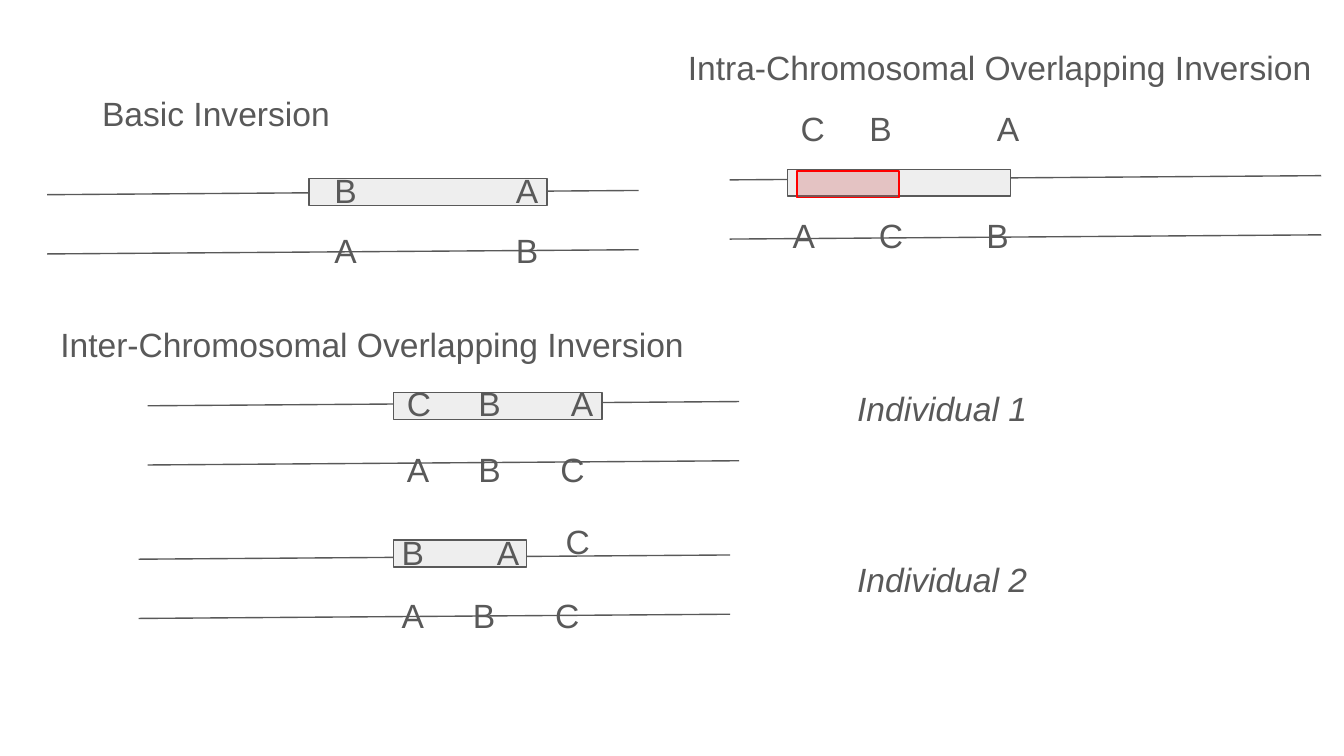
"""Build a slide comparing basic and overlapping chromosomal inversions."""
from lxml import etree
from pptx import Presentation
from pptx.dml.color import RGBColor
from pptx.enum.shapes import MSO_CONNECTOR, MSO_SHAPE
from pptx.enum.text import MSO_AUTO_SIZE
from pptx.oxml.ns import qn
from pptx.util import Cm, Pt

STRAIGHT = MSO_CONNECTOR.STRAIGHT
RECTANGLE = MSO_SHAPE.RECTANGLE
FIXED = MSO_AUTO_SIZE.NONE
GROW = MSO_AUTO_SIZE.SHAPE_TO_FIT_TEXT

WHITE = RGBColor(0xFF, 0xFF, 0xFF)
GREY = RGBColor(0x59, 0x59, 0x59)
LIGHT_GREY = RGBColor(0xEE, 0xEE, 0xEE)
DARK_RED = RGBColor(0xCC, 0x50, 0x50)
RED = RGBColor(0xFF, 0x00, 0x00)

CHROMOSOME_PAIRS = [(0.89, 3.68), (13.79, 3.4), (2.79, 7.67), (2.62, 10.57)]
INVERSIONS = [
    (5.84, 3.38, 4.5),
    (14.88, 3.2, 4.22),
    (7.44, 7.42, 3.94),
    (7.44, 10.21, 2.51),
]
OVERLAP = (15.06, 3.23, 1.93)
GENE_ROWS = [
    (2.97, {"B": 6.07, "A": 9.5}),
    (4.09, {"A": 6.07, "B": 9.5}),
    (1.8, {"C": 14.88, "B": 16.18, "A": 18.59}),
    (3.81, {"A": 14.73, "C": 16.36, "B": 18.39}),
    (6.99, {"C": 7.44, "B": 8.79, "A": 10.54}),
    (8.23, {"A": 7.44, "B": 8.79, "C": 10.34}),
    (9.8, {"B": 7.34, "A": 9.14}),
    (9.6, {"C": 10.44}),
    (11, {"A": 7.34, "B": 8.69, "C": 10.24}),
]
TITLES = [
    ("Basic Inversion", 1.68, 1.5, 8.46),
    ("Intra-Chromosomal Overlapping Inversion", 12.75, 0.64, 12.5),
    ("Inter-Chromosomal Overlapping Inversion", 0.89, 5.87, 13.08),
]
INDIVIDUALS = [("Individual 1", 7.09), ("Individual 2", 10.31)]


class InversionSlide:
    line_width = Pt(0.75)
    font_format = {"name": "Arial", "size": Pt(18)}
    frame_format = {
        "word_wrap": True,
        "margin_left": Cm(0.25),
        "margin_right": Cm(0.25),
        "margin_top": Cm(0.25),
        "margin_bottom": Cm(0.25),
    }

    def __init__(self, slide):
        self.slide = slide
        slide.background.fill.solid()
        slide.background.fill.fore_color.rgb = WHITE

    def add_outline(self, shape, color):
        shape.line.color.rgb = color
        shape.line.width = self.line_width

    def add_chromosome_pair(self, left, top, length=11.18, rise=0.08, gap=1.12):
        for start in (top, top + gap):
            connector = self.slide.shapes.add_connector(
                STRAIGHT, Cm(left), Cm(start), Cm(left + length), Cm(start - rise)
            )
            self.add_outline(connector, GREY)
            etree.SubElement(connector._element.spPr, qn("a:effectLst"))

    def add_segment(self, left, top, width, fill=LIGHT_GREY, outline=GREY, opacity=100):
        shape = self.slide.shapes.add_shape(
            RECTANGLE, Cm(left), Cm(top), Cm(width), Cm(0.51)
        )
        shape.shadow.inherit = False
        shape.fill.solid()
        shape.fill.fore_color.rgb = fill
        self.add_outline(shape, outline)
        if opacity < 100:
            color = shape._element.spPr.find(qn("a:solidFill"))[0]
            etree.SubElement(color, qn("a:alpha"), val=str(opacity * 1000))

    def add_text(self, text, left, top, width, height=1.27, auto_size=GROW, italic=False):
        box = self.slide.shapes.add_textbox(Cm(left), Cm(top), Cm(width), Cm(height))
        frame = box.text_frame
        for name, value in {**self.frame_format, "auto_size": auto_size}.items():
            setattr(frame, name, value)
        run = frame.paragraphs[0].add_run()
        run.text = text
        for name, value in {**self.font_format, "italic": italic}.items():
            setattr(run.font, name, value)
        run.font.color.rgb = GREY

    def add_genes(self, top, genes):
        for gene, left in genes.items():
            self.add_text(gene, left, top, 0.84, 1.32, FIXED)


def main():
    presentation = Presentation()
    presentation.slide_width = Cm(25.4)
    presentation.slide_height = Cm(14.29)
    diagram = InversionSlide(presentation.slides.add_slide(presentation.slide_layouts[6]))

    for left, top in CHROMOSOME_PAIRS:
        diagram.add_chromosome_pair(left, top)
    for left, top, width in INVERSIONS:
        diagram.add_segment(left, top, width)
    diagram.add_segment(*OVERLAP, fill=DARK_RED, outline=RED, opacity=27)
    for top, genes in GENE_ROWS:
        diagram.add_genes(top, genes)
    for title, left, top, width in TITLES:
        diagram.add_text(title, left, top, width)
    for name, top in INDIVIDUALS:
        diagram.add_text(name, 15.95, top, 8.89, italic=True)

    presentation.save("out.pptx")


if __name__ == "__main__":
    main()
